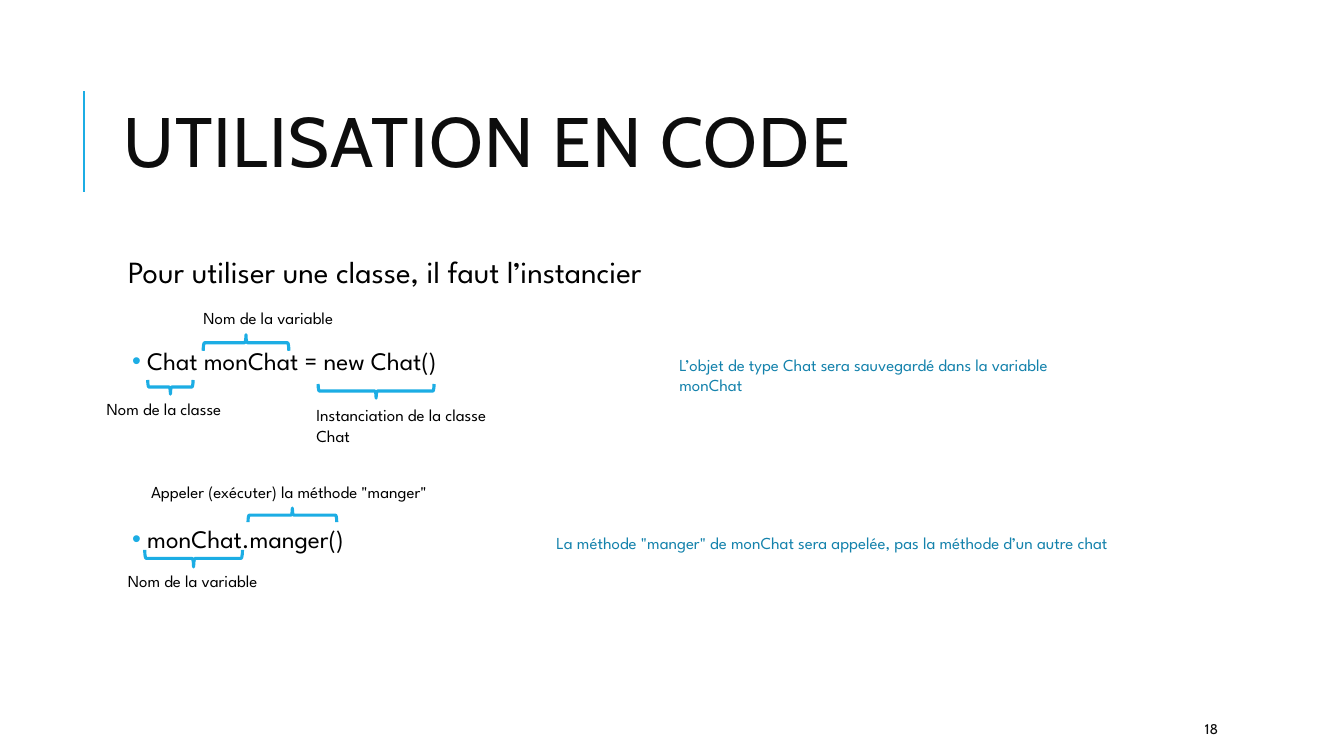
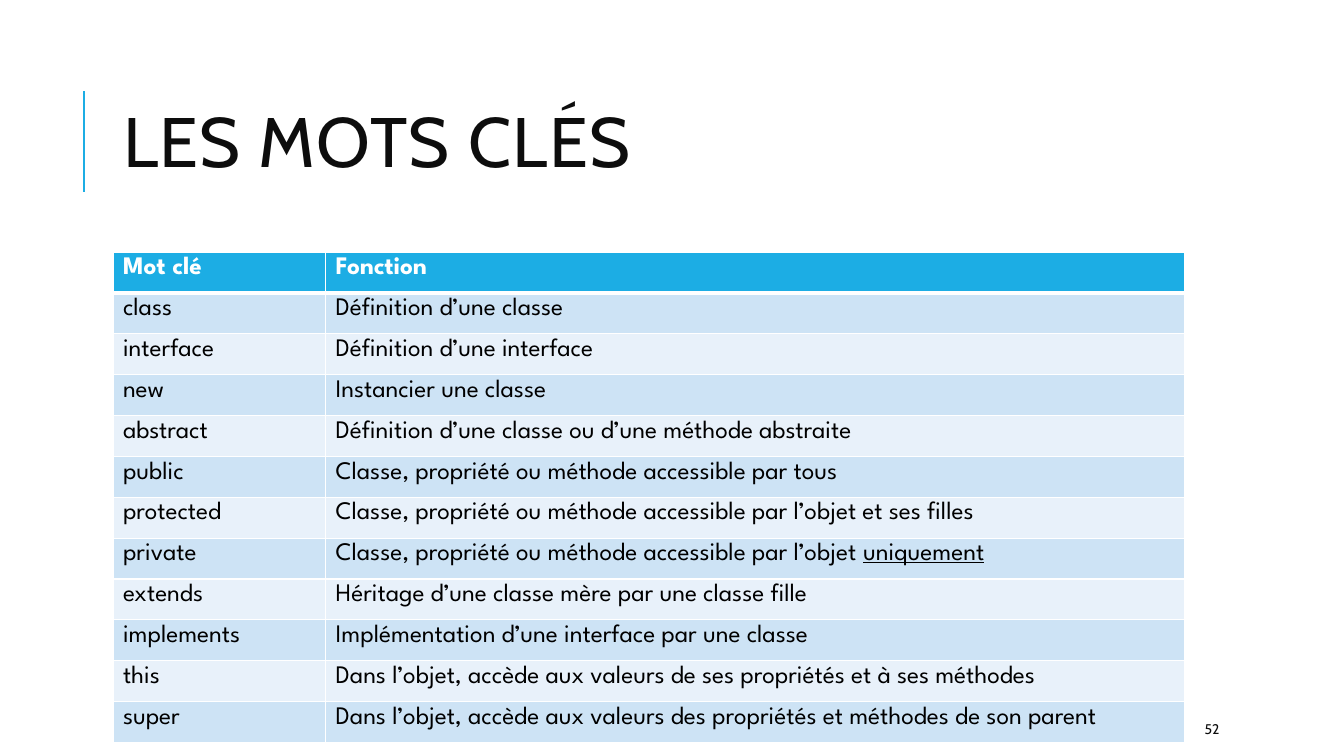
"""Build two slides on using classes in code and on the main keywords."""
from lxml import etree
from pptx import Presentation
from pptx.dml.color import RGBColor
from pptx.enum import shapes, text
from pptx.oxml import ns, parse_xml
from pptx.util import Inches, Pt

ACCENT, DEEP, INK, BLACK, WHITE = "1CADE4", "1482AC", "0D0D0D", "000000", "FFFFFF"
BANDS = ["E8F1FA", "CDE3F5"]
HEADING, BODY = "Cabin", "League Spartan"
DRAWING = ns.nsdecls("a")


def color(value):
    """Turn a hex string into a colour."""
    return RGBColor.from_string(value)


def write(para, words, hue, **formats):
    """Add one formatted run to a paragraph."""
    span = para.add_run()
    span.text = words
    span.font.color.rgb = color(hue)
    for name, value in formats.items():
        setattr(span.font, name, value)
    return span


deck = Presentation()
deck.slide_width, deck.slide_height = Inches(13.33), Inches(7.5)

pages = []
for layout, heading, number in [(1, "UTILISATION EN CODE", "18"), (5, "LES MOTS CLÉS", "52")]:
    page = deck.slides.add_slide(deck.slide_layouts[layout])
    pages.append(page)

    rule = page.shapes.add_connector(
        shapes.MSO_CONNECTOR.STRAIGHT, Inches(0.83), Inches(1.9), Inches(0.83), Inches(0.9))
    rule.line.color.rgb = color(ACCENT)
    rule.line.width = Pt(1.5)
    etree.SubElement(rule._element.spPr, ns.qn("a:effectLst"))

    title = page.shapes.title
    title.left, title.top, title.width, title.height = map(Inches, (1.12, 0.64, 10.63, 1.64))
    frame = title.text_frame
    frame.auto_size = text.MSO_AUTO_SIZE.NONE
    frame.vertical_anchor = text.MSO_ANCHOR.MIDDLE
    para = frame.paragraphs[0]
    para.alignment = text.PP_ALIGN.LEFT
    para.line_spacing = 0.8
    span = write(para, heading, INK, size=Pt(50), name=HEADING)
    span._r.get_or_add_rPr().set("spc", "100")

    box = page.shapes.add_textbox(*map(Inches, (11.85, 7.08, 1.06, 0.3)))
    box.text_frame.vertical_anchor = text.MSO_ANCHOR.MIDDLE
    box.text_frame.word_wrap = True
    write(box.text_frame.paragraphs[0], number, INK, size=Pt(10), name=HEADING)

code_page, keyword_page = pages

body = code_page.placeholders[1]
body.left, body.top, body.width, body.height = map(Inches, (1.12, 2.5, 10.63, 4.4))
frame = body.text_frame
frame.auto_size = text.MSO_AUTO_SIZE.NONE
for side in ("left", "top", "right", "bottom"):
    setattr(frame, f"margin_{side}", Inches(0.05))

lines = [
    ("Pour utiliser une classe, il faut l’instancier", 0, 22, 12, 2),
    ("Chat monChat = new Chat()", 1, 18, 40, 4),
    ("monChat.manger()", 1, 18, 103.5, 4),
]
for index, (words, level, size, before, after) in enumerate(lines):
    para = frame.add_paragraph() if index else frame.paragraphs[0]
    spacing = {"level": level, "line_spacing": 0.9,
               "space_before": Pt(before), "space_after": Pt(after)}
    for name, value in spacing.items():
        setattr(para, name, value)
    margin, indent = (0.29, -0.15) if level else (0.1, 0)
    props = para._p.get_or_add_pPr()
    props.set("marL", str(Inches(margin)))
    props.set("indent", str(Inches(indent)))
    if level:
        props.append(parse_xml(f'<a:buClr {DRAWING}><a:srgbClr val="{ACCENT}"/></a:buClr>'))
        props.append(parse_xml(f'<a:buChar {DRAWING} char="•"/>'))
    else:
        props.append(parse_xml(f"<a:buNone {DRAWING}/>"))
    write(para, words, BLACK, size=Pt(size), name=BODY)

DOWN, UP = 90, 270
braces = [
    (1.69, 3.84, 0.14, 0.45, DOWN),
    (3.73, 3.88, 0.14, 1.15, DOWN),
    (2.44, 3.4, 0.16, 0.85, UP),
    (1.92, 5.54, 0.17, 0.97, DOWN),
    (2.9, 5.11, 0.14, 0.88, UP),
]
for center, middle, depth, length, rotation in braces:
    brace = code_page.shapes.add_shape(
        shapes.MSO_SHAPE.RIGHT_BRACE, Inches(center - depth / 2), Inches(middle - length / 2),
        Inches(depth), Inches(length))
    brace.rotation = rotation
    brace.shadow.inherit = False
    brace.fill.background()
    brace.line.color.rgb = color(ACCENT)
    brace.line.width = Pt(2.25)

labels = [
    (0.96, 3.91, 1.55, "Nom de la classe", BLACK),
    (1.92, 3, 1.7, "Nom de la variable", BLACK),
    (3.04, 3.97, 2.1, "Instanciation de la classe Chat", BLACK),
    (1.4, 4.73, 3.1, 'Appeler (exécuter) la méthode "manger"', BLACK),
    (1.17, 5.61, 1.7, "Nom de la variable", BLACK),
    (6.64, 3.47, 4.4, "L’objet de type Chat sera sauvegardé dans la variable monChat", DEEP),
    (5.42, 5.24, 5.9,
     'La méthode "manger" de monChat sera appelée, pas la méthode d’un autre chat', DEEP),
]
for left, top, width, words, hue in labels:
    box = code_page.shapes.add_textbox(*map(Inches, (left, top, width, 0.3)))
    box.text_frame.word_wrap = True
    write(box.text_frame.paragraphs[0], words, hue, size=Pt(12), name=BODY)

keywords = [
    ("Mot clé", "Fonction"),
    ("class", "Définition d’une classe"),
    ("interface", "Définition d’une interface"),
    ("new", "Instancier une classe"),
    ("abstract", "Définition d’une classe ou d’une méthode abstraite"),
    ("public", "Classe, propriété ou méthode accessible par tous"),
    ("protected", "Classe, propriété ou méthode accessible par l’objet et ses filles"),
    ("private", "Classe, propriété ou méthode accessible par l’objet _uniquement"),
    ("extends", "Héritage d’une classe mère par une classe fille"),
    ("implements", "Implémentation d’une interface par une classe"),
    ("this", "Dans l’objet, accède aux valeurs de ses propriétés et à ses méthodes"),
    ("super", "Dans l’objet, accède aux valeurs des propriétés et méthodes de son parent"),
]
table = keyword_page.shapes.add_table(
    len(keywords), 2, *map(Inches, (1.12, 2.5, 10.63, 4.87))).table
for column, width in zip(table.columns, (2.11, 8.52)):
    column.width = Inches(width)

for row, entries in enumerate(keywords):
    header = row == 0
    for column, words in enumerate(entries):
        cell = table.cell(row, column)
        props = cell._tc.get_or_add_tcPr()
        for edge in ("lnL", "lnR", "lnT", "lnB"):
            thick = (header and edge == "lnB") or (row == 1 and edge == "lnT")
            props.append(parse_xml(
                f'<a:{edge} {DRAWING} w="{Pt(3 if thick else 1)}"><a:solidFill>'
                f'<a:srgbClr val="{WHITE}"/></a:solidFill></a:{edge}>'))
        cell.fill.solid()
        cell.fill.fore_color.rgb = color(ACCENT if header else BANDS[row % 2])
        plain, _, stressed = words.partition("_")
        style = {"size": Pt(18), "name": BODY, "bold": header}
        para = cell.text_frame.paragraphs[0]
        write(para, plain, WHITE if header else BLACK, **style)
        if stressed:
            write(para, stressed, BLACK, underline=True, **style)

deck.save("out.pptx")
